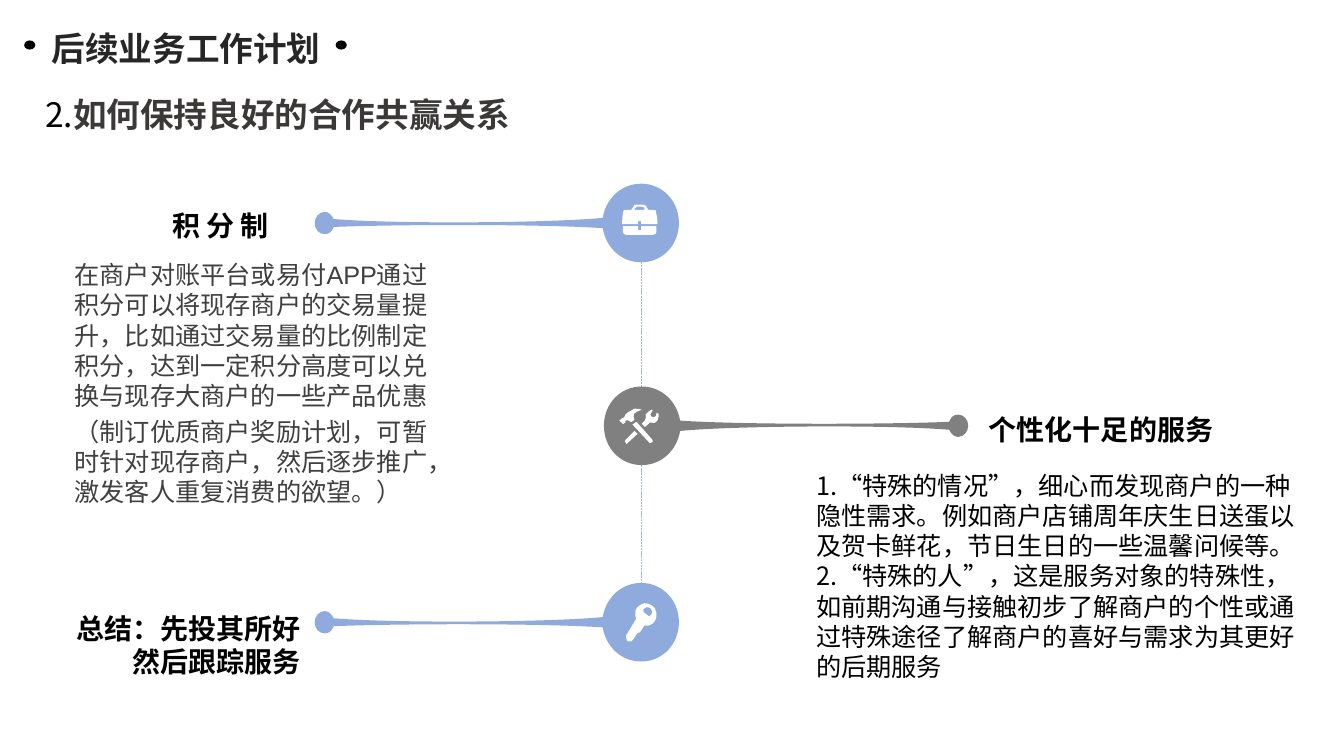
from pptx import Presentation
from pptx.dml.color import RGBColor
from pptx.enum.dml import MSO_LINE
from pptx.enum.shapes import MSO_CONNECTOR, MSO_SHAPE
from pptx.enum.text import MSO_AUTO_SIZE, PP_ALIGN
from pptx.oxml.ns import qn
from pptx.util import Cm, Pt
from lxml import etree

BLACK = RGBColor(0x00, 0x00, 0x00)
WHITE = RGBColor(0xFF, 0xFF, 0xFF)
INK = RGBColor(0x26, 0x26, 0x26)
HEADING = RGBColor(0x3B, 0x38, 0x38)
BODY = RGBColor(0x40, 0x40, 0x40)
BLUE = RGBColor(0x8F, 0xAA, 0xDC)
GREY = RGBColor(0x80, 0x80, 0x80)
AXIS = RGBColor(0xAD, 0xBA, 0xCA)
LEFT, CENTER, RIGHT = PP_ALIGN.LEFT, PP_ALIGN.CENTER, PP_ALIGN.RIGHT
STRAIGHT, OVAL = MSO_CONNECTOR.STRAIGHT, MSO_SHAPE.OVAL
DASH = MSO_LINE.SQUARE_DOT
GROW = MSO_AUTO_SIZE.SHAPE_TO_FIT_TEXT
SANS, CJK = "Arial", "Noto Sans CJK SC"

# Outlines in cm from the node centre: a pair is a line, six numbers a curve.
DUMBBELL = [[
    (0, -.99), (-.51, -.99, -.89, -.61, -.97, -.13),
    (-2.29, 0, -6.2, .03, -7.75, -.1), (-7.8, -.2, -7.87, -.28, -7.98, -.28),
    (-8.13, -.28, -8.23, -.13, -8.23, 0), (-8.23, .15, -8.13, .28, -7.98, .28),
    (-7.87, .28, -7.8, .23, -7.75, .1), (-5.99, .03, -2.46, .03, -.97, .13),
    (-.89, .61, -.51, .99, 0, .99), (.53, .99, .95, .56, .95, 0),
    (.95, -.56, .53, -.99, 0, -.99)]]
BRIEFCASE = [
    [(-.08, -.05), (0, -.05), (0, .03), (.41, .03),
     (.41, .03, .41, -.18, .38, -.23), (.38, -.3, .38, -.33, .3, -.33),
     (.18, -.33), (.13, -.38, .13, -.43, .13, -.43),
     (.1, -.46, .08, -.46, .05, -.46), (-.13, -.46),
     (-.18, -.46, -.18, -.46, -.18, -.43), (-.2, -.43, -.2, -.38, -.25, -.33),
     (-.38, -.33), (-.46, -.33, -.46, -.3, -.46, -.23),
     (-.48, -.18, -.48, .03, -.48, .03), (-.08, .03)],
    [(-.15, -.38), (-.13, -.38, -.13, -.41, -.1, -.41), (.03, -.41),
     (.05, -.41, .05, -.38, .08, -.38), (.08, -.33), (-.18, -.33)],
    [(0, .18), (-.08, .18), (-.08, .08), (-.46, .08), (-.46, .23),
     (-.46, .25, -.43, .3, -.38, .3), (.3, .3),
     (.36, .3, .38, .25, .38, .23), (.38, .08), (0, .08)]]
KEY = [
    [(.38, -.25), (.36, -.41, .2, -.48, .08, -.48),
     (-.08, -.43, -.18, -.33, -.15, -.18), (-.15, -.15, -.13, -.1, -.13, -.08),
     (-.36, .3), (-.38, .3, -.38, .36, -.38, .38), (-.36, .46),
     (-.36, .48, -.36, .48, -.33, .48), (-.25, .48),
     (-.25, .48, -.23, .46, -.2, .43), (-.1, .28), (-.03, .25), (.08, .08),
     (.1, .1, .18, .08, .2, .08), (.33, .05, .41, -.1, .38, -.25)],
    [(.25, -.18), (.2, -.13, .18, -.15, .13, -.2),
     (.08, -.25, .03, -.25, .05, -.33), (.1, -.38, .18, -.41, .23, -.36),
     (.28, -.3, .3, -.23, .25, -.18)]]
TOOLS = [
    [(-.41, -.13), (-.36, -.15, -.33, -.15, -.28, -.1), (-.25, -.1),
     (-.18, -.15), (-.18, -.18), (-.18, -.18, -.2, -.2, -.2, -.23),
     (-.28, -.33, .05, -.41, 0, -.41), (-.05, -.43, -.15, -.43, -.18, -.43),
     (-.23, -.41, -.3, -.36, -.36, -.33), (-.41, -.28),
     (-.43, -.25, -.41, -.23, -.46, -.2), (-.48, -.18, -.51, -.2, -.51, -.18),
     (-.51, -.15, -.53, -.15, -.56, -.15), (-.56, -.13), (-.48, -.05),
     (-.46, -.05), (-.41, -.08)],
    [(-.13, -.1), (-.23, -.03), (.2, .43), (.23, .43), (.28, .41), (.28, .36)],
    [(.43, -.3), (.41, -.33, .41, -.33, .38, -.33),
     (.38, -.3, .36, -.28, .36, -.25), (.33, -.23, .3, -.18, .25, -.23),
     (.2, -.28, .23, -.28, .23, -.3), (.23, -.33, .28, -.38, .28, -.38),
     (.28, -.38, .28, -.41, .25, -.41), (.23, -.38, .13, -.36, .1, -.28),
     (.1, -.23, .13, -.18, .08, -.13), (0, -.05), (.08, .03), (.18, -.05),
     (.18, -.08, .23, -.1, .25, -.08), (.33, -.05, .38, -.1, .41, -.15),
     (.43, -.2, .43, -.28, .43, -.3)],
    [(-.41, .36), (-.43, .38, -.43, .41, -.41, .41), (-.38, .46), (-.1, .2),
     (-.18, .13)]]


def bend(s, segments):
    """Merge each three line steps that stand for a curve into one curve."""
    steps = iter(list(s._element.iter(qn("a:lnTo"))))
    for seg in segments:
        curve = next(steps)
        if len(seg) == 6:
            curve.tag = qn("a:cubicBezTo")
            for _ in range(2):
                step = next(steps)
                curve.append(step[0])
                step.getparent().remove(step)


class Deck:
    def __init__(self, width, height):
        self.prs = Presentation()
        self.prs.slide_width, self.prs.slide_height = Cm(width), Cm(height)
        self.slide = self.prs.slides.add_slide(self.prs.slide_layouts[6])
        self.shapes = self.slide.shapes

    def paint(self, s, color):
        s.shadow.inherit = False
        s.fill.solid()
        s.fill.fore_color.rgb = color
        s.line.fill.background()

    def dot(self, x, y, w, h, color):
        s = self.shapes.add_shape(OVAL, Cm(x), Cm(y), Cm(w), Cm(h))
        self.paint(s, color)
        return s

    def dashed_line(self, x, top, bottom, color, width):
        c = self.shapes.add_connector(STRAIGHT, Cm(x), Cm(top), Cm(x), Cm(bottom))
        c.line.color.rgb, c.line.width, c.line.dash_style = color, Pt(width), DASH
        etree.SubElement(c._element.spPr, qn("a:effectLst"))

    def outline(self, paths, x, y, color, sign=1):
        """Draw paths around a centre; sign -1 turns them half round."""
        builder = None
        for path in paths:
            points = [(Cm(x + sign * seg[i]), Cm(y + sign * seg[i + 1]))
                      for seg in path for i in range(0, len(seg), 2)]
            if builder is None:
                builder = self.shapes.build_freeform(*points[0], scale=1.0)
            else:
                builder.move_to(*points[0])
            builder.add_line_segments(points[1:], close=True)
        s = builder.convert_to_shape()
        bend(s, [seg for path in paths for seg in path[1:]])
        self.paint(s, color)

    def text(self, box, paragraphs, inset=True, before=0, align=LEFT, **style):
        """Write paragraphs, each a list of (text, style overrides) runs."""
        s = self.shapes.add_textbox(*map(Cm, box))
        tf = s.text_frame
        tf.word_wrap, tf.auto_size = True, GROW
        if not inset:
            tf.margin_left = tf.margin_right = tf.margin_top = tf.margin_bottom = 0
        for i, runs in enumerate(paragraphs):
            p = tf.paragraphs[0] if i == 0 else tf.add_paragraph()
            p.alignment, p.space_before = align, Pt(before)
            for words, extra in runs:
                self.run(p, words, **{**style, **extra})
        return s

    def run(self, p, words, size=18, font=SANS, color=BLACK, bold=False):
        r = p.add_run()
        r.text = words
        r.font.size, r.font.name, r.font.bold = Pt(size), font, bold
        r.font.color.rgb = color
        etree.SubElement(r.font._element, qn("a:ea")).set("typeface", CJK)


def plain(*lines):
    return [[(line, {})] for line in lines]


def main():
    d = Deck(33.87, 19.05)
    title = [d.dot(x, 1.02, 0.28, 0.23, BLACK) for x in (0.61, 8.46)]
    title.append(d.text((0.93, 0.58, 7.52, 1.35), plain("后续业务工作计划"),
                        align=CENTER, size=24, font=CJK, color=INK, bold=True))
    d.shapes.add_group_shape(title)

    d.dashed_line(16.16, 4.8, 16.66, AXIS, 0.5)
    for x, y, icon, color, sign in ((16.16, 15.68, KEY, BLUE, 1),
                                    (16.16, 5.62, BRIEFCASE, BLUE, 1),
                                    (16.17, 10.73, TOOLS, GREY, -1)):
        d.outline(DUMBBELL, x, y, color, sign)
        d.outline(icon, x, y, WHITE)

    label = dict(inset=False, size=20, bold=True)
    d.text((4.34, 5.25, 3.58, 0.91), plain("积 分 制"), before=4, **label)
    d.text((1.88, 6.54, 9.47, 6.3), plain(
        "在商户对账平台或易付APP通过积分可以将现存商户的交易量提升，比如通过交易量的"
        "比例制定积分，达到一定积分高度可以兑换与现存大商户的一些产品优惠",
        "（制订优质商户奖励计划，可暂时针对现存商户，然后逐步推广，激发客人重复消费的欲望。）"),
        inset=False, before=4, color=BODY)
    d.text((1.88, 15.4, 5.7, 1.75), plain("总结：先投其所好然后跟踪服务"),
           before=4, align=RIGHT, **label)
    d.text((24.92, 10.4, 6.6, 0.91), plain("个性化十足的服务"), before=4, **label)

    d.text((0.89, 2.24, 12.22, 2.11),
           [[("2.", {}), ("如何保持良好的合作共赢关系", dict(color=HEADING, bold=True))]],
           size=24, font=CJK)
    d.text((20.32, 11.72, 12.58, 5.64), plain(
        "1.“特殊的情况”，细心而发现商户的一种",
        "隐性需求。例如商户店铺周年庆生日送蛋以",
        "及贺卡鲜花，节日生日的一些温馨问候等。",
        "2.“特殊的人”，这是服务对象的特殊性，",
        "如前期沟通与接触初步了解商户的个性或通",
        "过特殊途径了解商户的喜好与需求为其更好",
        "的后期服务"), font=CJK)
    d.prs.save("out.pptx")


if __name__ == "__main__":
    main()
